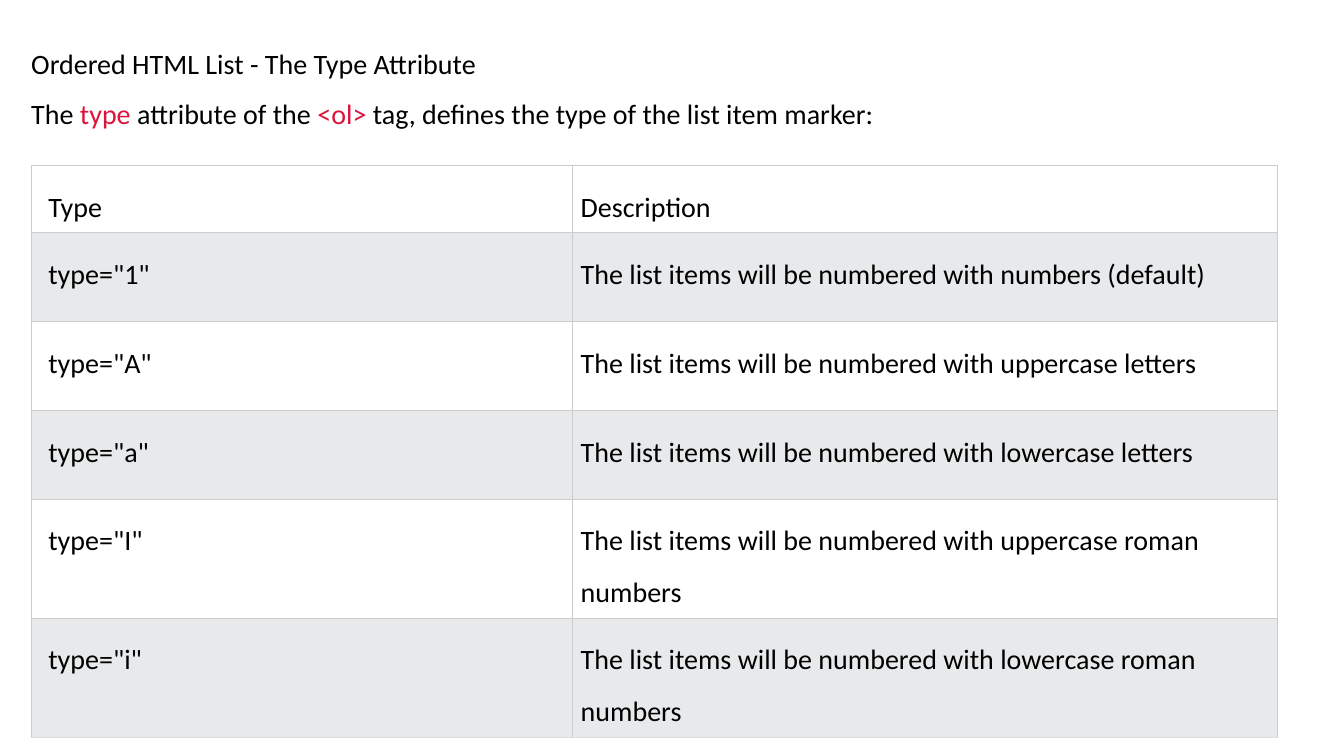
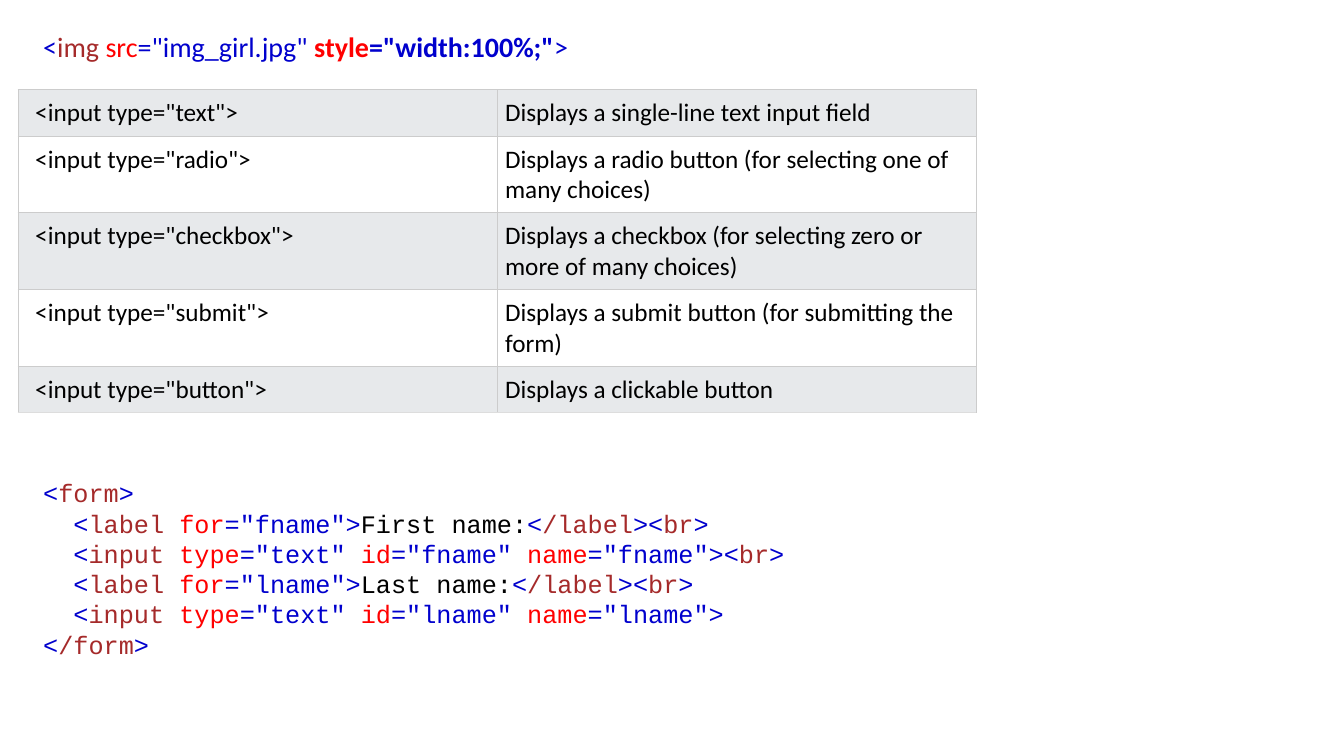
import pptx
import pptx.util
import pptx.dml.color
import pptx.enum.shapes
import pptx.enum.text
import pptx.oxml
import pptx.oxml.ns

Inches, Pt = pptx.util.Inches, pptx.util.Pt

COLOURS = {
    "ink": "000000", "white": "FFFFFF", "band": "E7E9EB",
    "rule": "CCCCCC", "foot": "DDDDDD", "code": "DC143C",
    "mark": "0000CD", "tag": "A52A2A", "attr": "FF0000",
}
SANS, MONO = "Calibri", "Courier New"

INTRO = [
    [("ink", "Ordered HTML List - The Type Attribute")],
    [("ink", "The "), ("code", "type"), ("ink", " attribute of the "),
     ("code", "<ol>"), ("ink", " tag, defines the type of the list item marker:")],
]
TYPES = [
    ("Type", "Description"),
    ('type="1"', "The list items will be numbered with numbers (default)"),
    ('type="A"', "The list items will be numbered with uppercase letters"),
    ('type="a"', "The list items will be numbered with lowercase letters"),
    ('type="I"', "The list items will be numbered with uppercase roman numbers"),
    ('type="i"', "The list items will be numbered with lowercase roman numbers"),
]
IMAGE = [
    ("mark", "<"), ("tag", "img"), ("attr", " src"), ("mark", '="img_girl.jpg" '),
    ("attr", "style", True), ("mark", '="width:100%;"', True), ("mark", ">"),
]
INPUTS = [
    ('<input type="text">', "Displays a single-line text input field"),
    ('<input type="radio">',
     "Displays a radio button (for selecting one of many choices)"),
    ('<input type="checkbox">',
     "Displays a checkbox (for selecting zero or more of many choices)"),
    ('<input type="submit">', "Displays a submit button (for submitting the form)"),
    ('<input type="button">', "Displays a clickable button"),
]


def tag(kind, **attrs):
    """Return the coloured parts of one HTML tag."""
    parts = [("mark", "<"), ("tag", kind)]
    for key, value in attrs.items():
        parts += [("attr", " " + key), ("mark", f'="{value}"')]
    return parts + [("mark", ">")]


def label(name, text):
    return tag("label", **{"for": name}) + [("ink", text)] + tag("/label") + tag("br")


def field(name):
    return tag("input", type="text", id=name, name=name)


# Each line of code: indent in inches, coloured parts
FORM = [
    (0, tag("form")),
    (0.3, label("fname", "First name:")),
    (0.3, field("fname") + tag("br")),
    (0.3, label("lname", "Last name:")),
    (0.3, field("lname")),
    (0, tag("/form")),
]


def rgb(name):
    return pptx.dml.color.RGBColor.from_string(COLOURS[name])


def paint(shape, name):
    shape.fill.solid()
    shape.fill.fore_color.rgb = rgb(name)


def write(para, parts, size, font=SANS, lead=1.0):
    """Fill a paragraph with (colour, text[, bold]) parts."""
    para.alignment = pptx.enum.text.PP_ALIGN.LEFT
    para.line_spacing = lead
    para.font.size, para.font.name = Pt(size), font
    for colour, text, *bold in parts:
        run = para.add_run()
        run.text = text
        run.font.color.rgb = rgb(colour)
        if bold:
            run.font.bold = True


def lines(frame, count):
    """Return the given number of paragraphs of a text frame."""
    return [frame.paragraphs[0]] + [frame.add_paragraph() for _ in range(count - 1)]


def border(cell, last):
    props = cell._tc.get_or_add_tcPr()
    for side in "LRTB":
        name = "foot" if last and side == "B" else "rule"
        props.append(pptx.oxml.parse_xml(
            f'<a:ln{side} {pptx.oxml.ns.nsdecls("a")} w="{Pt(0.75)}"><a:solidFill>'
            f'<a:srgbClr val="{COLOURS[name]}"/></a:solidFill></a:ln{side}>'))


def add_grid(slide, rows, spot, widths, heights, fills, size, lead):
    """Add a two-column table whose row fills alternate."""
    box = [Inches(n) for n in (*spot, sum(widths), sum(heights))]
    table = slide.shapes.add_table(len(rows), len(widths), *box).table
    table.first_row = table.horz_banding = False
    for column, width in zip(table.columns, widths):
        column.width = Inches(width)
    for r, row in enumerate(rows):
        table.rows[r].height = Inches(heights[r])
        for c, text in enumerate(row):
            cell = table.cell(r, c)
            cell.margin_left = Inches(0.08 if c else 0.17)
            cell.margin_right = cell.margin_top = cell.margin_bottom = Inches(0.08)
            border(cell, r == len(rows) - 1)
            paint(cell, fills[r % 2])
            write(cell.text_frame.paragraphs[0], [("ink", text)], size, lead=lead)


def add_text(slide, box):
    frame = slide.shapes.add_textbox(*[Inches(n) for n in box]).text_frame
    frame.word_wrap = True
    frame.auto_size = pptx.enum.text.MSO_AUTO_SIZE.SHAPE_TO_FIT_TEXT
    return frame


def add_intro(slide):
    shape = slide.shapes.add_shape(
        pptx.enum.shapes.MSO_SHAPE.RECTANGLE,
        *[Inches(n) for n in (0.31, 0.23, 12.36, 1.13)])
    shape.shadow.inherit = False
    paint(shape, "white")
    shape.line.fill.background()
    frame = shape.text_frame
    frame.word_wrap = True
    frame.vertical_anchor = pptx.enum.text.MSO_ANCHOR.MIDDLE
    frame.margin_left = frame.margin_right = 0
    frame.margin_top = frame.margin_bottom = Inches(0.08)
    for para, parts in zip(lines(frame, len(INTRO)), INTRO):
        write(para, parts, 20, lead=1.5)


def add_form(slide):
    frame = add_text(slide, (0.33, 4.69, 9.61, 1.9))
    for para, (indent, parts) in zip(lines(frame, len(FORM)), FORM):
        write(para, parts, 18, MONO)
        para._p.get_or_add_pPr().set("marL", str(Inches(indent)))


def main():
    deck = pptx.Presentation()
    deck.slide_width, deck.slide_height = Inches(13.33), Inches(7.5)
    blank = deck.slide_layouts[6]

    slide = deck.slides.add_slide(blank)
    add_grid(slide, TYPES, (0.31, 1.64), (5.37, 6.99), [0.53] + [0.88] * 5,
             ("white", "band"), 20, 1.5)
    add_intro(slide)

    slide = deck.slides.add_slide(blank)
    write(add_text(slide, (0.33, 0.24, 6.67, 0.44)).paragraphs[0], IMAGE, 20)
    add_grid(slide, INPUTS, (0.18, 0.89), (4.75, 4.75), [0.46] * 5,
             ("band", "white"), 18, 1.0)
    add_form(slide)

    deck.save("out.pptx")


if __name__ == "__main__":
    main()
